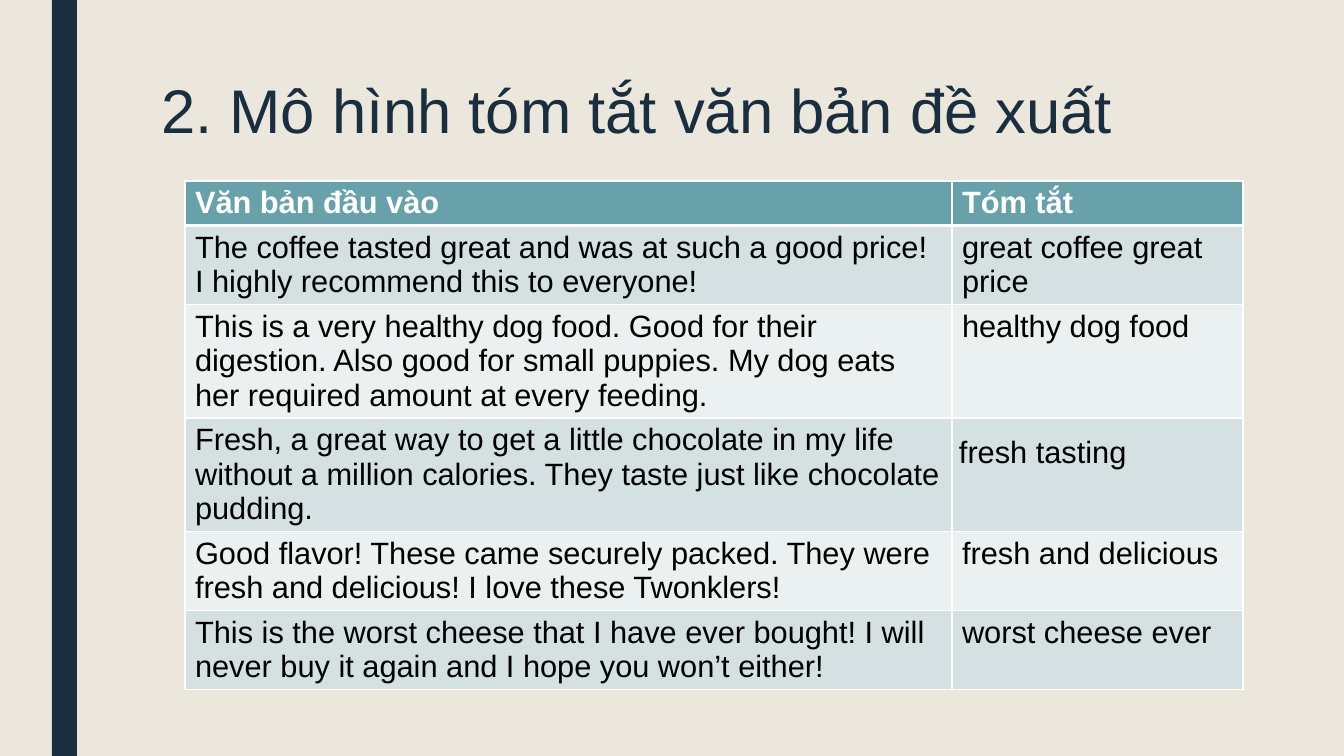
from lxml import etree
from pptx import Presentation
from pptx import util as u
from pptx.dml.color import RGBColor
from pptx.enum import shapes, text
from pptx.oxml.ns import qn

TITLE = "2. Mô hình tóm tắt văn bản đề xuất"
ROWS = [
    ("Văn bản đầu vào", "Tóm tắt"),
    ("The coffee tasted great and was at such a good price! I highly recommend this to everyone!",
     "great coffee great price"),
    ("This is a very healthy dog food. Good for their digestion. Also good for small puppies. "
     "My dog eats her required amount at every feeding.",
     "healthy dog food"),
    ("Fresh, a great way to get a little chocolate in my life without a million calories. "
     "They taste just like chocolate pudding.",
     "fresh tasting"),
    ("Good flavor! These came securely packed. They were fresh and delicious! I love these Twonklers!",
     "fresh and delicious"),
    ("This is the worst cheese that I have ever bought! I will never buy it again "
     "and I hope you won’t either!",
     "worst cheese ever"),
]
SPACED_CELL = (3, 1)

FONT = "Arial"
CREAM = RGBColor(0xEB, 0xE7, 0xDD)
NAVY = RGBColor(0x1A, 0x2E, 0x40)
TEAL = RGBColor(0x69, 0xA1, 0xAB)
BAND_DARK = RGBColor(0xD4, 0xE0, 0xE2)
BAND_LIGHT = RGBColor(0xEB, 0xF0, 0xF1)
WHITE = RGBColor(0xFF, 0xFF, 0xFF)
BLACK = RGBColor(0, 0, 0)

SLIDE_W, SLIDE_H = 1344, 756
BAR = (52, 0, 25, SLIDE_H)
TITLE_BOX = (151, 76, 1058, 163)
TABLE_LEFT, TABLE_TOP = 185, 181
COLUMNS = (767, 291)
ROW_H = 41  # least height; rows grow with their text


def px(length):
    return u.Emu(round(length * 914400 / 100.8))


def add_span(para, words, size, color, bold=False):
    span = para.add_run()
    span.text = words
    span.font.name = FONT
    span.font.size = u.Pt(size)
    span.font.bold = bold
    span.font.color.rgb = color


def set_borders(cell, widths):
    """Draw white borders; widths maps the side (L, R, T, B) to points."""
    props = cell._tc.get_or_add_tcPr()
    for index, (side, width) in enumerate(widths.items()):
        line = etree.Element(qn(f"a:ln{side}"), w=str(u.Pt(width)))
        fill = etree.SubElement(line, qn("a:solidFill"))
        etree.SubElement(fill, qn("a:srgbClr"), val=str(WHITE))
        props.insert(index, line)


def add_bar(page):
    bar = page.shapes.add_shape(shapes.MSO_SHAPE.RECTANGLE, *map(px, BAR))
    bar.shadow.inherit = False
    bar.fill.solid()
    bar.fill.fore_color.rgb = NAVY
    bar.line.fill.background()


def fill_title(page):
    title = page.shapes.title
    title.left, title.top, title.width, title.height = map(px, TITLE_BOX)
    frame = title.text_frame
    frame.word_wrap = True
    frame.auto_size = text.MSO_AUTO_SIZE.NONE
    frame.vertical_anchor = text.MSO_ANCHOR.TOP
    para = frame.paragraphs[0]
    para.alignment = text.PP_ALIGN.LEFT
    para.line_spacing = 0.89
    add_span(para, TITLE, 44, NAVY)


def add_reviews(page):
    table = page.shapes.add_table(
        len(ROWS), len(COLUMNS), px(TABLE_LEFT), px(TABLE_TOP),
        px(sum(COLUMNS)), px(ROW_H * len(ROWS))).table
    for column, width in zip(table.columns, COLUMNS):
        column.width = px(width)
    for r, row in enumerate(ROWS):
        header = r == 0
        for c, words in enumerate(row):
            cell = table.cell(r, c)
            cell.fill.solid()
            cell.fill.fore_color.rgb = TEAL if header else (BAND_LIGHT, BAND_DARK)[r % 2]
            set_borders(cell, {"L": 1, "R": 1, "T": 3 if r == 1 else 1, "B": 3 if header else 1})
            para = cell.text_frame.paragraphs[0]
            add_span(para, words, 22, WHITE if header else BLACK, header)
            if (r, c) == SPACED_CELL:
                cell.margin_left = cell.margin_right = px(7)
                cell.margin_top = cell.margin_bottom = 0
                para.alignment = text.PP_ALIGN.JUSTIFY
                para.line_spacing = 1.5
                para.space_before, para.space_after = u.Pt(12), u.Pt(6)


def main():
    deck = Presentation()
    deck.slide_width, deck.slide_height = px(SLIDE_W), px(SLIDE_H)
    page = deck.slides.add_slide(deck.slide_layouts[5])
    page.background.fill.solid()
    page.background.fill.fore_color.rgb = CREAM
    add_bar(page)
    fill_title(page)
    add_reviews(page)
    deck.save("out.pptx")


if __name__ == "__main__":
    main()
